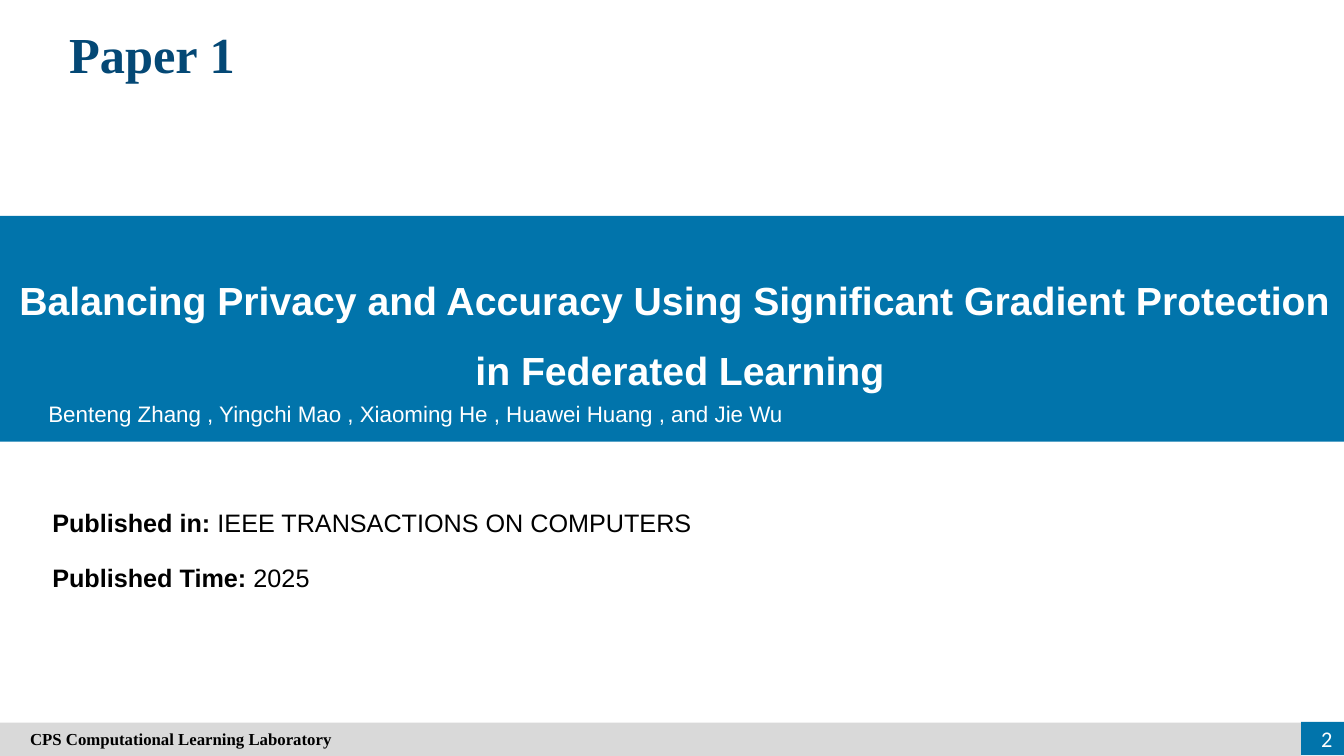
"""Build the slide that introduces Paper 1."""
import pptx
import pptx.dml.color
import pptx.enum.shapes
import pptx.enum.text
import pptx.util
from pptx.util import Cm

COLORS = {"blue": "0174AB", "navy": "044875", "gray": "D9D9D9", "white": "FFFFFF", "black": "000000"}
ALIGN = pptx.enum.text.PP_ALIGN
ANCHOR = pptx.enum.text.MSO_ANCHOR


def add_block(left, top, width, height, color):
    block = slide.shapes.add_shape(
        pptx.enum.shapes.MSO_SHAPE.RECTANGLE, Cm(left), Cm(top), Cm(width), Cm(height))
    block.shadow.inherit = False
    block.fill.solid()
    block.fill.fore_color.rgb = pptx.dml.color.RGBColor.from_string(COLORS[color])
    block.line.fill.background()
    return block


def write(shape, lines, size, font, color, bold=False, align=ALIGN.LEFT, anchor=ANCHOR.TOP, spacing=1.0):
    frame = shape.text_frame
    frame.word_wrap = True
    frame.vertical_anchor = anchor
    frame.text = "\n".join(lines)
    for paragraph in frame.paragraphs:
        paragraph.alignment = align
        paragraph.line_spacing = spacing
        paragraph.font.size = pptx.util.Pt(size)
        paragraph.font.name = font
        paragraph.font.bold = bold
        paragraph.font.color.rgb = pptx.dml.color.RGBColor.from_string(COLORS[color])
    return frame


deck = pptx.Presentation()
deck.slide_width, deck.slide_height = Cm(33.87), Cm(19.05)
slide = deck.slides.add_slide(deck.slide_layouts[5])

add_block(0, 5.44, 34.01, 5.69, "blue")

heading = slide.shapes.title
heading.left, heading.top, heading.width, heading.height = Cm(0.97), Cm(0.46), Cm(5.72), Cm(1.8)
write(heading, ["Paper 1"], 36, "Times New Roman", "navy", True, ALIGN.CENTER)

paper_title = slide.shapes.add_textbox(Cm(-1.47), Cm(6.22), Cm(37.21), Cm(3.84))
write(paper_title,
      ["Balancing Privacy and Accuracy Using Significant Gradient Protection ", "in Federated Learning"],
      28, "Arial", "white", True, ALIGN.CENTER, ANCHOR.MIDDLE, 1.5)

authors = slide.shapes.add_textbox(Cm(0.97), Cm(9.96), Cm(31.98), Cm(0.94))
write(authors, ["Benteng Zhang , Yingchi Mao , Xiaoming He , Huawei Huang , and Jie Wu"], 16, "Arial", "white")

publication = [("Published in:", "IEEE TRANSACTIONS ON COMPUTERS"), ("Published Time:", "2025")]
for row, (label, value) in enumerate(publication):
    detail = slide.shapes.add_textbox(Cm(1.07), Cm(12.65 + 1.4 * row), Cm(30.66), Cm(1.02))
    detail_line = write(detail, [label], 18, "Arial", "black").paragraphs[0]
    detail_line.runs[0].font.bold = True
    detail_line.add_run().text = f" {value}"

footer = add_block(0, 18.21, 32.79, 0.84, "gray")
footer_frame = write(footer, ["CPS Computational Learning Laboratory"], 12, "Times New Roman", "black", True,
                     anchor=ANCHOR.MIDDLE)
footer_frame.margin_left = Cm(0.76)

add_block(32.79, 18.19, 1.08, 0.84, "blue")
page_number = slide.shapes.add_textbox(Cm(32.23), Cm(18.11), Cm(1.6), Cm(1.02))
write(page_number, ["2"], 16, "Calibri", "white", align=ALIGN.RIGHT, anchor=ANCHOR.MIDDLE)

deck.save("out.pptx")
